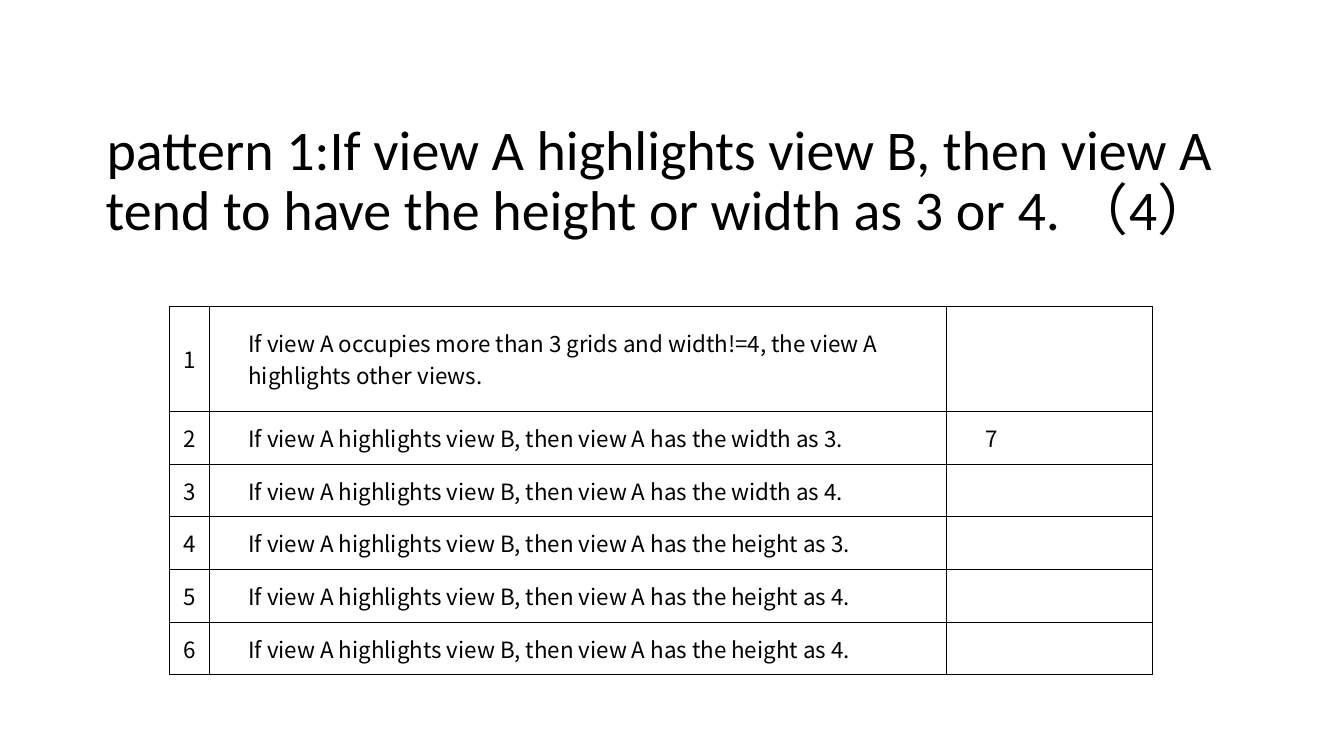
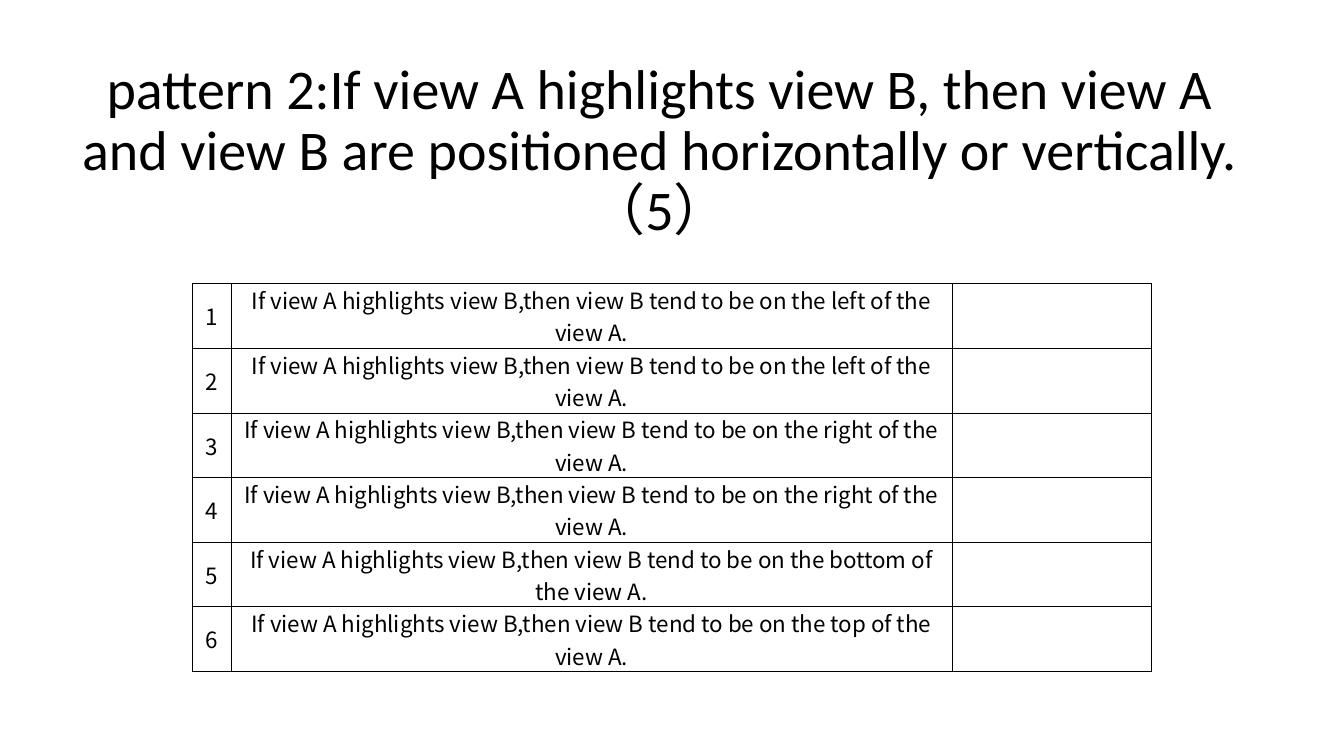
from lxml import etree
from pptx import Presentation
from pptx.dml.color import RGBColor
from pptx.enum.text import MSO_ANCHOR, PP_ALIGN
from pptx.oxml.ns import qn
from pptx.util import Pt

BOTTOM, MIDDLE = MSO_ANCHOR.BOTTOM, MSO_ANCHOR.MIDDLE
CENTER, LEFT = PP_ALIGN.CENTER, PP_ALIGN.LEFT

INK = "000000"
TITLE_FONT, TABLE_FONT = "Calibri", "Noto Sans CJK SC"
TITLE_SIZE, TABLE_SIZE = 40, 16
TITLE_BOX = (38, 61, 866, 116)
BORDER_WIDTH = 0.75
RULE_INDENT = 28

HIGHLIGHTS = "If view A highlights view B, then view A has the {} as {}."
POSITIONED = "If view A highlights view B,then view B tend to be on the {} of the view A."

SIZE_RULES = [
    ("If view A occupies more than 3 grids and width!=4, the view A highlights other views.", ""),
    (HIGHLIGHTS.format("width", 3), "7"),
    (HIGHLIGHTS.format("width", 4), ""),
    (HIGHLIGHTS.format("height", 3), ""),
    (HIGHLIGHTS.format("height", 4), ""),
    (HIGHLIGHTS.format("height", 4), ""),
]
POSITION_RULES = [
    (POSITIONED.format(side), "")
    for side in ("left", "left", "right", "right", "bottom", "top")
]


def color(hex_code):
    return RGBColor.from_string(hex_code)


def add_run(paragraph, text, font, size):
    run = paragraph.add_run()
    run.text = text
    run.font.name = font
    run.font.size = Pt(size)
    run.font.color.rgb = color(INK)


def add_title(slide, box, text):
    frame = slide.shapes.add_textbox(*map(Pt, box)).text_frame
    frame.word_wrap = True
    frame.vertical_anchor = BOTTOM
    paragraph = frame.paragraphs[0]
    paragraph.alignment = CENTER
    paragraph.line_spacing = 0.9
    add_run(paragraph, text, TITLE_FONT, TITLE_SIZE)


def add_borders(cell):
    properties = cell._tc.get_or_add_tcPr()
    for side in ("a:lnL", "a:lnR", "a:lnT", "a:lnB"):
        line = etree.SubElement(properties, qn(side), w=str(Pt(BORDER_WIDTH)))
        fill = etree.SubElement(line, qn("a:solidFill"))
        etree.SubElement(fill, qn("a:srgbClr"), val=INK)


def fill_cell(cell, text, alignment):
    add_borders(cell)
    cell.fill.background()
    cell.margin_left = cell.margin_right = cell.margin_top = cell.margin_bottom = 0
    cell.vertical_anchor = MIDDLE
    paragraph = cell.text_frame.paragraphs[0]
    paragraph.alignment = alignment
    if alignment == LEFT:
        paragraph._p.get_or_add_pPr().set("marL", str(Pt(RULE_INDENT)))
    if text:
        add_run(paragraph, text, TABLE_FONT, TABLE_SIZE)
    else:
        paragraph.font.size = Pt(TABLE_SIZE)


def add_rule_table(slide, origin, widths, heights, rules, alignment):
    box = (*origin, sum(widths), sum(heights))
    table = slide.shapes.add_table(len(rules), len(widths), *map(Pt, box)).table
    table.first_row = table.horz_banding = False
    for column, width in zip(table.columns, widths):
        column.width = Pt(width)
    for row, height in zip(table.rows, heights):
        row.height = Pt(height)
    for index, (rule, count) in enumerate(rules):
        number_cell, rule_cell, count_cell = table.rows[index].cells
        fill_cell(number_cell, str(index + 1), CENTER)
        fill_cell(rule_cell, rule, alignment)
        fill_cell(count_cell, count, alignment)


def add_pattern_slide(deck, title, **table):
    slide = deck.slides.add_slide(deck.slide_layouts[6])
    add_title(slide, TITLE_BOX, title)
    add_rule_table(slide, **table)


def main():
    deck = Presentation()
    deck.slide_width, deck.slide_height = Pt(960), Pt(540)
    add_pattern_slide(
        deck,
        "pattern 1:If view A highlights view B, then view A tend to have "
        "the height or width as 3 or 4. （4）",
        origin=(121, 219),
        widths=(28.4, 526.4, 147.6),
        heights=[75] + [37.6] * 5,
        rules=SIZE_RULES,
        alignment=LEFT,
    )
    add_pattern_slide(
        deck,
        "pattern 2:If view A highlights view B, then view A and view B are "
        "positioned horizontally or vertically. （5）",
        origin=(137.5, 202.7),
        widths=(27.6, 515, 142.6),
        heights=[46.15] * 6,
        rules=POSITION_RULES,
        alignment=CENTER,
    )
    deck.save("out.pptx")


if __name__ == "__main__":
    main()
